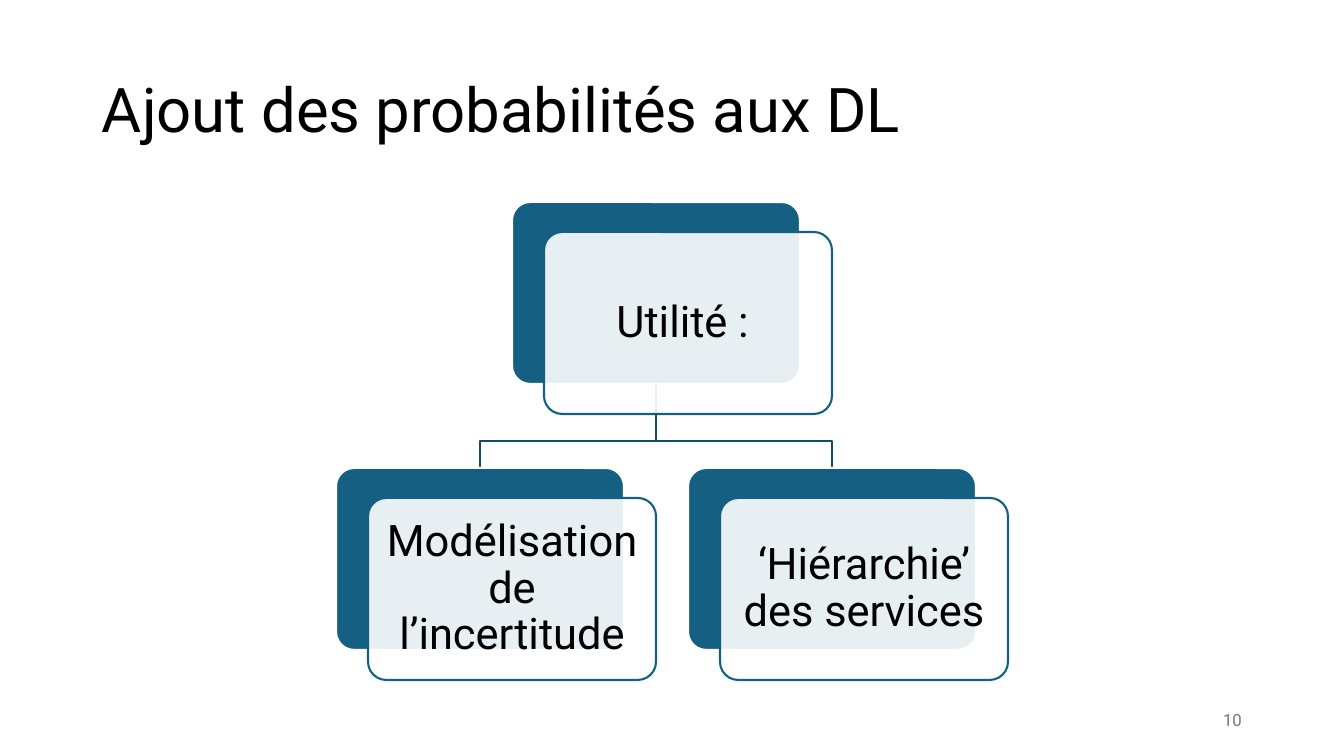
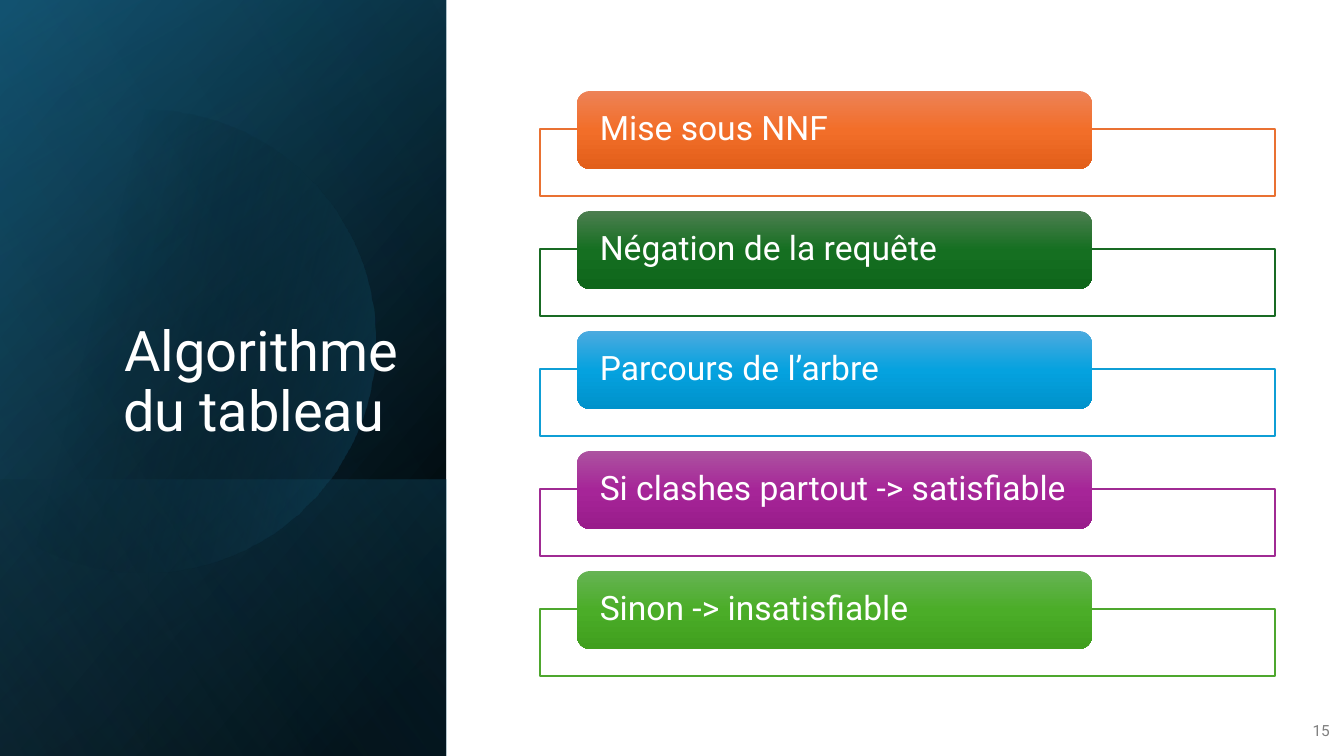
"""Build two slides: a probability hierarchy and the steps of the tableau algorithm."""
import math

from pptx import Presentation
from pptx import util as u
from pptx.dml.color import RGBColor
from pptx.enum import shapes, text
from pptx.oxml import parse_xml
from pptx.oxml.ns import nsdecls, qn

PX = 9071
FONT = "Roboto"
BLACK, WHITE, BLUE, DARK_BLUE = "000000", "FFFFFF", "156082", "114D68"
VEIL = [(0, WHITE, 90)]
LEFT, CENTER, RIGHT = text.PP_ALIGN.LEFT, text.PP_ALIGN.CENTER, text.PP_ALIGN.RIGHT
MIDDLE, BOTTOM = text.MSO_ANCHOR.MIDDLE, text.MSO_ANCHOR.BOTTOM
RECTANGLE = shapes.MSO_SHAPE.RECTANGLE
ROUNDED = shapes.MSO_SHAPE.ROUNDED_RECTANGLE


def paint(shape, stops, angle=0, outline=None, weight=1):
    """Fill with (position, colour, opacity) stops and set the outline."""
    shape.shadow.inherit = False
    shape.fill.background()
    colors = [
        f'<a:srgbClr val="{color}"><a:alpha val="{opacity * 1000}"/></a:srgbClr>'
        for _, color, opacity in stops
    ]
    if len(stops) == 1:
        xml = f'<a:solidFill {nsdecls("a")}>{colors[0]}</a:solidFill>'
    elif stops:
        marks = "".join(
            f'<a:gs pos="{stop[0] * 1000}">{color}</a:gs>' for stop, color in zip(stops, colors)
        )
        xml = (
            f'<a:gradFill {nsdecls("a")} rotWithShape="1"><a:gsLst>{marks}</a:gsLst>'
            f'<a:lin ang="{angle * 60000}" scaled="0"/></a:gradFill>'
        )
    if stops:
        properties = shape._element.spPr
        properties.replace(properties.find(qn("a:noFill")), parse_xml(xml))
    if outline:
        shape.line.color.rgb = RGBColor.from_string(outline)
        shape.line.width = u.Pt(weight)
    else:
        shape.line.fill.background()


def write(shape, content, size, color, align, anchor=MIDDLE, insets=(10, 5, 10, 5)):
    """Set one paragraph of formatted text."""
    frame = shape.text_frame
    frame.text = content
    frame.word_wrap = True
    frame.auto_size = text.MSO_AUTO_SIZE.NONE
    frame.vertical_anchor = anchor
    frame.margin_left, frame.margin_top, frame.margin_right, frame.margin_bottom = (
        inset * PX for inset in insets
    )
    paragraph = frame.paragraphs[0]
    paragraph.alignment = align
    paragraph.line_spacing = 0.9
    paragraph.font.name = FONT
    paragraph.font.size = u.Pt(size)
    paragraph.font.color.rgb = RGBColor.from_string(color)


presentation = Presentation()
presentation.slide_width = 1344 * PX
presentation.slide_height = 756 * PX
title_only = presentation.slide_layouts[5]
hierarchy = presentation.slides.add_slide(title_only)
algorithm = presentation.slides.add_slide(title_only)

CARD_WIDTH, CARD_HEIGHT = 288, 182
ROOT_LEFT, ROOT_TOP, CHILD_TOP, BRANCH_Y = 512, 202, 468, 441
CHILD_SHIFT = 176
trunk_x = ROOT_LEFT + CARD_WIDTH // 2
for shift in (CHILD_SHIFT, -CHILD_SHIFT):
    builder = hierarchy.shapes.build_freeform(trunk_x, ROOT_TOP + CARD_HEIGHT, PX)
    branch_x = trunk_x + shift
    builder.add_line_segments(
        [(trunk_x, BRANCH_Y), (branch_x, BRANCH_Y), (branch_x, CHILD_TOP)], close=False
    )
    paint(builder.convert_to_shape(), [], outline=DARK_BLUE, weight=1.5)

cards = [
    ("Utilité : ", ROOT_LEFT, ROOT_TOP),
    ("Modélisation de l’incertitude", ROOT_LEFT - CHILD_SHIFT, CHILD_TOP),
    ("‘Hiérarchie’ des services", ROOT_LEFT + CHILD_SHIFT, CHILD_TOP),
]
for label, left, top in cards:
    for dx, dy, stops, outline in ((0, 0, [(0, BLUE, 100)], WHITE), (32, 30, VEIL, BLUE)):
        box = (left + dx, top + dy, CARD_WIDTH, CARD_HEIGHT)
        card = hierarchy.shapes.add_shape(ROUNDED, *(n * PX for n in box))
        card.adjustments[0] = 0.1
        paint(card, stops, outline=outline, weight=1.5)
    write(card, label, 31, BLACK, CENTER, insets=(12, 12, 12, 12))

PANEL_WIDTH, PANEL_HEIGHT = 446, 756
layers = [
    (0, 50, [(8, BLACK, 100), (100, "104862", 100)]),
    (0, 30, [(0, BLACK, 0), (99, BLUE, 46)]),
    (480, 130, [(2, BLUE, 29), (100, BLACK, 30)]),
    (None, 14, [(29, BLACK, 0), (100, BLUE, 43)]),
    (0, 120, [(0, BLACK, 0), (99, "46B1E1", 11)]),
]
DISC_X, DISC_Y, DISC_RADIUS = 144, 341, 231
arc = [
    (
        DISC_X + DISC_RADIUS * math.cos(math.radians(degrees)),
        DISC_Y + DISC_RADIUS * math.sin(math.radians(degrees)),
    )
    for degrees in range(-128, 129, 2)
]
for top, angle, stops in layers:
    if top is None:
        builder = algorithm.shapes.build_freeform(*arc[0], PX)
        builder.add_line_segments(arc[1:])
        layer = builder.convert_to_shape()
    else:
        height = PANEL_HEIGHT - top
        offset = (PANEL_WIDTH - height) // 2
        box = (offset, top - offset, height, PANEL_WIDTH)
        layer = algorithm.shapes.add_shape(RECTANGLE, *(n * PX for n in box))
        layer.rotation = 90
        layer._element.spPr.xfrm.set("flipH", "1")
    paint(layer, stops, angle)

STEP_TOP, STEP_PITCH = 91, 120
steps = [
    ("Mise sous NNF", "E97132", ("ED8257", "F26E29", "E25F1A")),
    ("Négation de la requête", "196B24", ("4D7E50", "156F21", "0F661B")),
    ("Parcours de l’arbre", "0F9ED5", ("4CAADF", "05A2DF", "0092CB")),
    ("Si clashes partout -> satisfiable", "A02B93", ("AC53A0", "A62598", "991C8B")),
    ("Sinon -> insatisfiable", "4EA72E", ("66B354", "4BAD28", "409F1E")),
]
for index, (label, outline, shades) in enumerate(steps):
    top = STEP_TOP + index * STEP_PITCH
    frame_box = (540, top + 38, 735, 67)
    frame = algorithm.shapes.add_shape(RECTANGLE, *(n * PX for n in frame_box))
    paint(frame, VEIL, outline=outline)
    pill = algorithm.shapes.add_shape(ROUNDED, *(n * PX for n in (577, top, 515, 78)))
    paint(pill, [(50 * rank, shade, 100) for rank, shade in enumerate(shades)], 90)
    write(pill, label, 24, WHITE, LEFT, insets=(19, 0, 10, 0))

headings = [
    (hierarchy, "Ajout des probabilités aux DL", (92, 40, 1160, 146), 44, BLACK, LEFT, MIDDLE),
    (algorithm, "Algorithme du tableau ", (64, 185, 344, 264), 40, WHITE, RIGHT, BOTTOM),
]
for slide, heading, box, size, color, align, anchor in headings:
    title = slide.shapes.title
    title.left, title.top, title.width, title.height = (n * PX for n in box)
    write(title, heading, size, color, align, anchor)
    slide.shapes._spTree.append(title._element)

numbers = [
    (hierarchy, "10", (950, 701, 302, 40), 12, "797979"),
    (algorithm, "15", (1290, 712, 50, 40), 11, "808080"),
]
for slide, number, box, size, color in numbers:
    number_box = slide.shapes.add_textbox(*(n * PX for n in box))
    write(number_box, number, size, color, RIGHT)

presentation.save("out.pptx")
